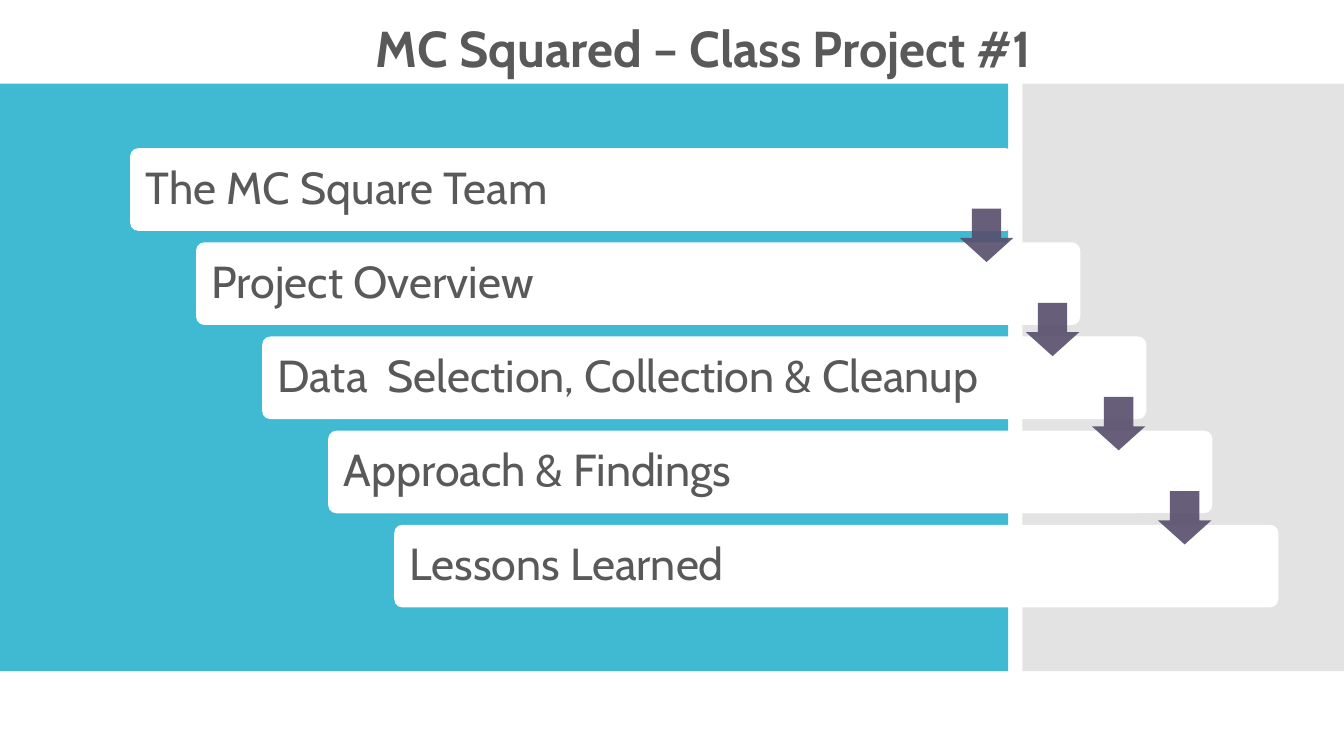
from lxml import etree
from pptx import Presentation
from pptx.dml.color import RGBColor
from pptx.enum.shapes import MSO_SHAPE
from pptx.enum.text import MSO_ANCHOR, MSO_AUTO_SIZE, PP_ALIGN
from pptx.oxml.ns import qn
from pptx.util import Inches, Pt

RECT = MSO_SHAPE.RECTANGLE
ROUND = MSO_SHAPE.ROUNDED_RECTANGLE
ARROW = MSO_SHAPE.DOWN_ARROW
TOP, MIDDLE = MSO_ANCHOR.TOP, MSO_ANCHOR.MIDDLE
LEFT, CENTER = PP_ALIGN.LEFT, PP_ALIGN.CENTER

FONT = "Cabin"
TEAL, GRAY, WHITE = "40BAD2", "C8C8C8", "FFFFFF"
PLUM, INK = "574E6C", "595959"
TOPICS = [
    "The MC Square Team",
    "Project Overview",
    "Data  Selection, Collection & Cleanup",
    "Approach & Findings",
    "Lessons Learned",
]
STEP_X, STEP_Y = 0.655, 0.934


def color(code):
    return RGBColor.from_string(code)


def add_box(slide, kind, box, fill, alpha=100, adjust=()):
    shape = slide.shapes.add_shape(kind, *map(Inches, box))
    shape.shadow.inherit = False
    shape.line.fill.background()
    shape.fill.solid()
    shape.fill.fore_color.rgb = color(fill)
    if alpha < 100:
        tint = shape.fill._xPr.find(qn("a:solidFill"))[0]
        etree.SubElement(tint, qn("a:alpha")).set("val", str(alpha * 1000))
    for i, value in enumerate(adjust):
        shape.adjustments[i] = value
    return shape


def set_text(shape, text, size, align, anchor, bold=False):
    frame = shape.text_frame
    frame.word_wrap = True
    frame.auto_size = MSO_AUTO_SIZE.NONE
    frame.vertical_anchor = anchor
    para = frame.paragraphs[0]
    para.alignment = align
    run = para.add_run()
    run.text = text
    run.font.name = FONT
    run.font.size = Pt(size)
    run.font.bold = bold
    run.font.color.rgb = color(INK)
    return frame


def add_bar(slide, row, text):
    box = (1.29 + row * STEP_X, 1.47 + row * STEP_Y, 8.77, 0.82)
    bar = add_box(slide, ROUND, box, WHITE, adjust=[0.1])
    frame = set_text(bar, text, 32, LEFT, MIDDLE)
    frame.margin_left = frame.margin_right = Inches(0.13)
    frame.margin_top = frame.margin_bottom = Inches(0.13)
    frame.paragraphs[0].line_spacing = 0.9


def add_arrow(slide, row):
    box = (9.52 + row * STEP_X, 2.07 + row * STEP_Y, 0.53, 0.53)
    add_box(slide, ARROW, box, PLUM, 90, [0.55, 0.45])


def set_title(slide, text):
    title = slide.shapes.title
    title.left, title.top = Inches(3.28), Inches(0.12)
    title.width, title.height = Inches(7.4), Inches(0.71)
    set_text(title, text, 36, CENTER, TOP, True)


def main():
    deck = Presentation()
    deck.slide_width, deck.slide_height = Inches(13.33), Inches(7.5)
    slide = deck.slides.add_slide(deck.slide_layouts[5])
    add_box(slide, RECT, (0, 0.83, 10, 5.83), TEAL)
    add_box(slide, RECT, (10.14, 0.83, 3.19, 5.83), GRAY, 50)
    for row, text in enumerate(TOPICS):
        add_bar(slide, row, text)
    for row in range(len(TOPICS) - 1):
        add_arrow(slide, row)
    set_title(slide, "MC Squared – Class Project #1")
    deck.save("out.pptx")


if __name__ == "__main__":
    main()
